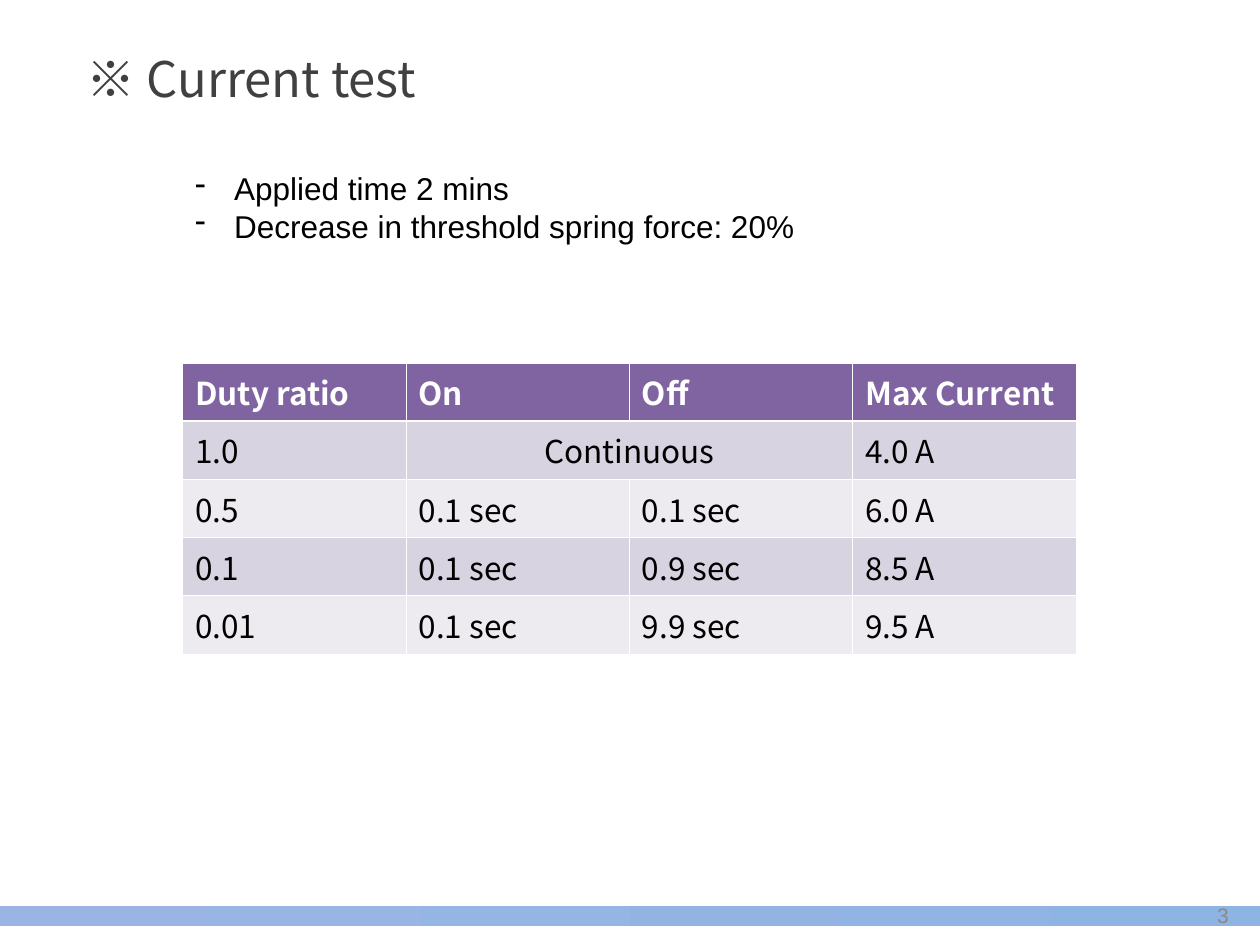
from pptx import Presentation
from pptx.dml.color import RGBColor
from pptx.enum.shapes import MSO_SHAPE as Shape
from pptx.enum.text import MSO_ANCHOR as Anchor, PP_ALIGN as Align
from pptx.oxml.ns import qn
from pptx.util import Inches, Pt
from lxml.etree import SubElement as Sub

SANS, CJK = "Arial", "Noto Sans CJK KR"
TITLE = "※ Current test"
NOTES = ["Applied time 2 mins", "Decrease in threshold spring force: 20%"]
ROWS = [
    ["Duty ratio", "On", "Off", "Max Current"],
    ["1.0", "Continuous", None, "4.0 A"],
    ["0.5", "0.1 sec", "0.1 sec", "6.0 A"],
    ["0.1", "0.1 sec", "0.9 sec", "8.5 A"],
    ["0.01", "0.1 sec", "9.9 sec", "9.5 A"],
]
HEAD, BANDS = "8064A2", ["EDEAF0", "D8D3E0"]
FORMATS = {
    "title": {"name": CJK, "size": Pt(28), "bold": False},
    "note": {"name": SANS, "size": Pt(18)},
    "head": {"name": CJK, "size": Pt(18), "bold": True},
    "cell": {"name": CJK, "size": Pt(18), "bold": False},
    "page": {"name": SANS, "size": Pt(12)},
}
INKS = {"title": "404040", "note": "000000", "head": "FFFFFF",
        "cell": "000000", "page": "898989"}


def color(code):
    return RGBColor.from_string(code)


def box(*sizes):
    return [Inches(size) for size in sizes]


def write(para, text, kind, align=Align.LEFT):
    run = para.add_run()
    run.text = text
    para.alignment = align
    for key, value in FORMATS[kind].items():
        setattr(run.font, key, value)
    run.font.color.rgb = color(INKS[kind])
    Sub(run.font._element, qn("a:ea"), typeface=FORMATS[kind]["name"])


def bullet(para, mark, ink):
    props = para._p.get_or_add_pPr()
    props.set("marL", str(Inches(0.31)))
    props.set("indent", str(-Inches(0.31)))
    Sub(Sub(props, qn("a:buClr")), qn("a:srgbClr"), val=ink)
    Sub(props, qn("a:buChar"), char=mark)


def border(cell, row):
    heavy = {0: "B", 1: "T"}.get(row)
    for side in "LRTB":
        width = Pt(1.47 if side == heavy else 0.45)
        line = Sub(cell._tc.get_or_add_tcPr(), qn(f"a:ln{side}"), w=str(width))
        Sub(Sub(line, qn("a:solidFill")), qn("a:srgbClr"), val="FFFFFF")


deck = Presentation()
deck.slide_width, deck.slide_height = box(10, 7.5)
slide = deck.slides.add_slide(deck.slide_layouts[5])
shapes = slide.shapes

bar = shapes.add_shape(Shape.RECTANGLE, *box(0, 7.19, 10, 0.16))
bar.shadow.inherit = False
bar.line.fill.background()
bar.fill.gradient()
bar.fill.gradient_angle = 0
for stop, code in zip(bar.fill.gradient_stops, ["9AB5E4", "8EB4E3"]):
    stop.color.rgb = color(code)

grid = shapes.add_table(len(ROWS), len(ROWS[0]), *box(1.45, 2.88, 7.09, 2.03)).table
grid.cell(1, 1).merge(grid.cell(1, 2))
for r, row in enumerate(ROWS):
    for c, text in enumerate(row):
        cell = grid.cell(r, c)
        border(cell, r)
        cell.fill.solid()
        cell.fill.fore_color.rgb = color(BANDS[r % 2] if r else HEAD)
        if text:
            align = Align.CENTER if cell.is_merge_origin else Align.LEFT
            write(cell.text_frame.paragraphs[0], text, "cell" if r else "head", align)

title = shapes.title
title.left, title.top, title.width, title.height = box(0.59, 0.31, 7.1, 0.61)
title.text_frame.vertical_anchor = Anchor.MIDDLE
write(title.text_frame.paragraphs[0], TITLE, "title")

notes = shapes.add_textbox(*box(1.45, 1.29, 7.09, 0.7)).text_frame
notes.word_wrap = True
for i, text in enumerate(NOTES):
    para = notes.add_paragraph() if i else notes.paragraphs[0]
    bullet(para, "-", INKS["note"])
    write(para, text, "note")

page = shapes.add_textbox(*box(7.52, 7.06, 2.33, 0.4)).text_frame
page.word_wrap = True
page.vertical_anchor = Anchor.MIDDLE
write(page.paragraphs[0], "3", "page", Align.RIGHT)

deck.save("out.pptx")
